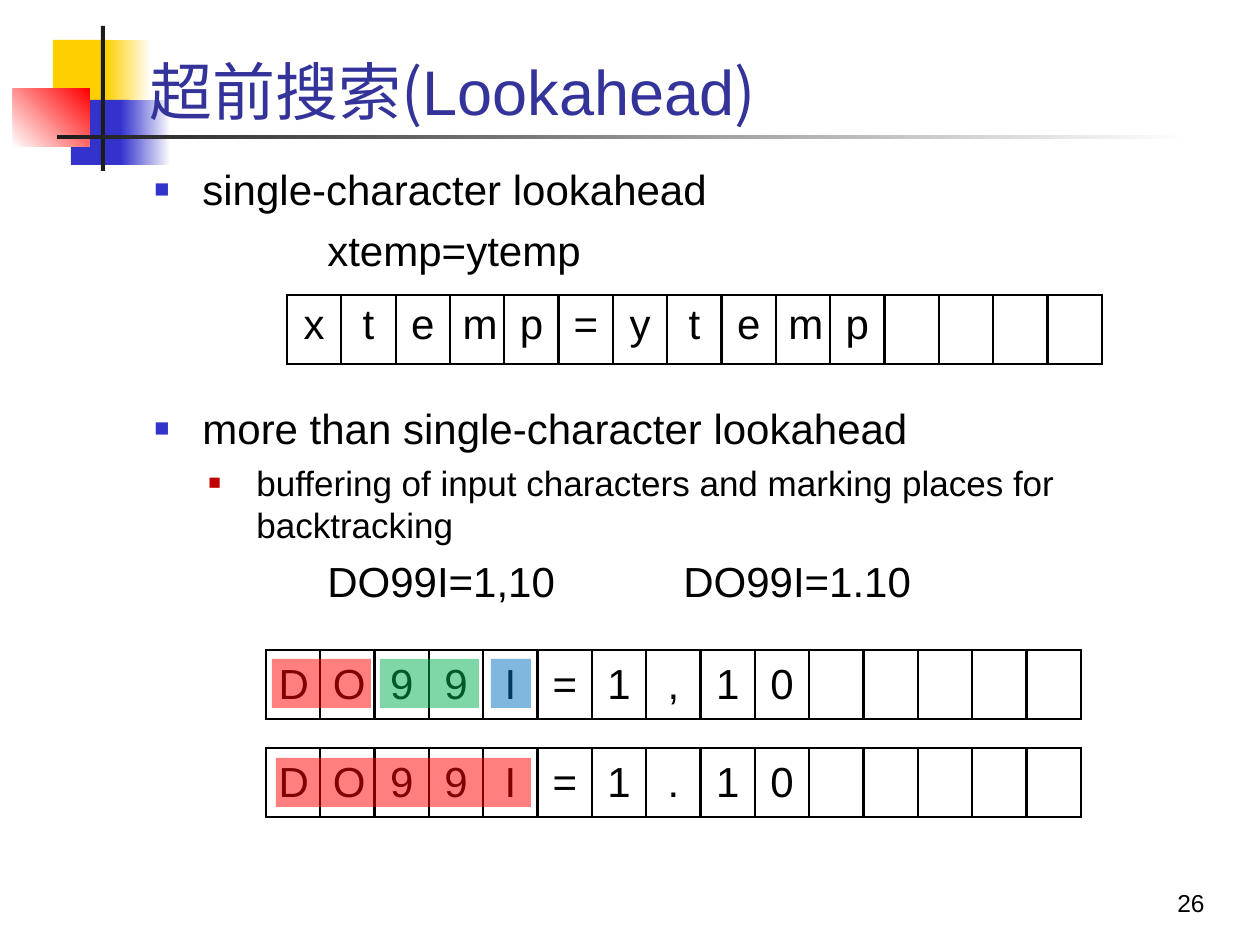
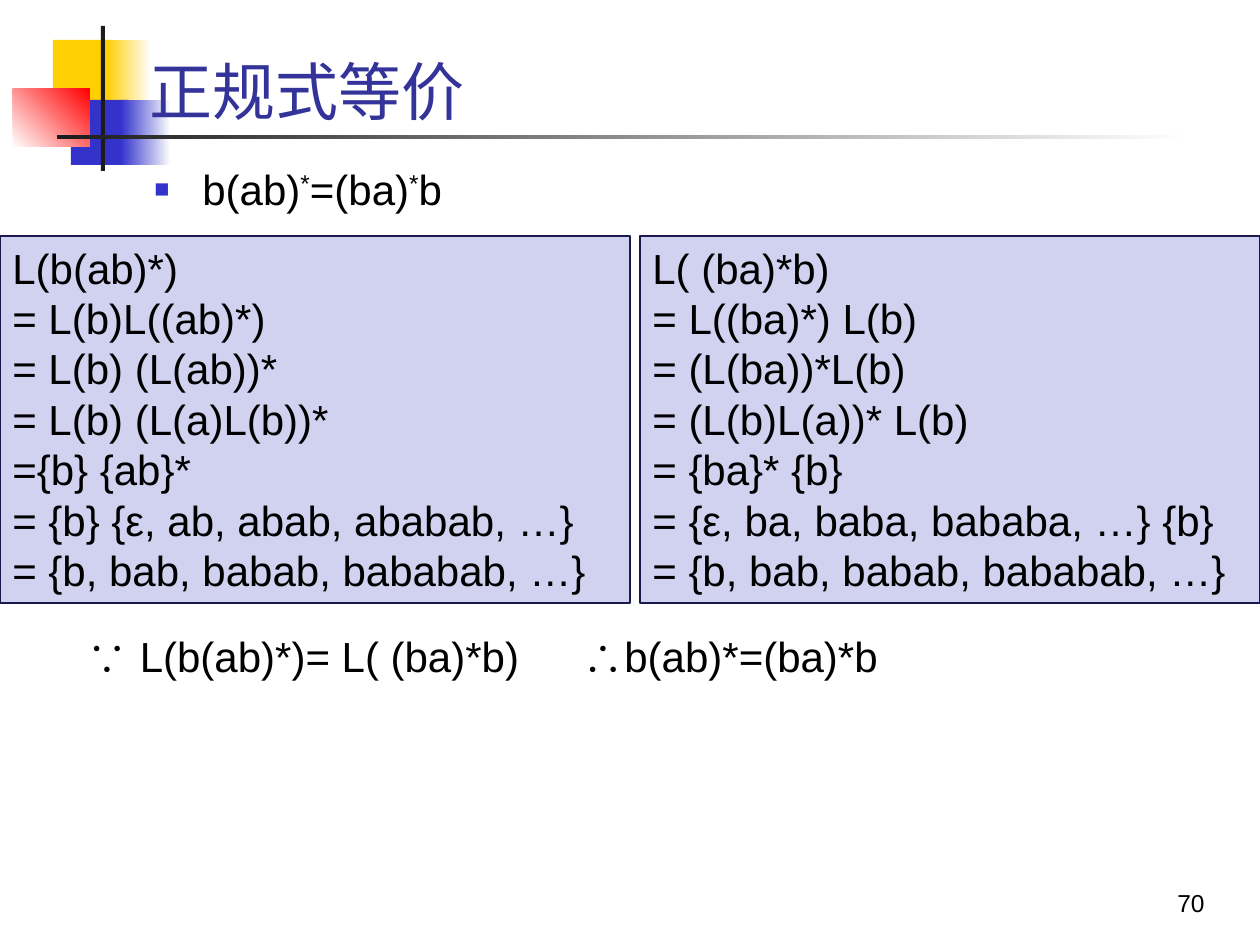
from dataclasses import dataclass
from typing import Optional

from lxml import etree
from pptx import Presentation
from pptx.dml.color import RGBColor
from pptx.enum.shapes import MSO_SHAPE
from pptx.enum.text import MSO_ANCHOR, PP_ALIGN
from pptx.oxml.ns import qn
from pptx.util import Emu, Pt

RECT = MSO_SHAPE.RECTANGLE
TOP, MIDDLE, BOTTOM = MSO_ANCHOR.TOP, MSO_ANCHOR.MIDDLE, MSO_ANCHOR.BOTTOM
LEFT, CENTER, RIGHT = PP_ALIGN.LEFT, PP_ALIGN.CENTER, PP_ALIGN.RIGHT

BLACK = RGBColor(0x00, 0x00, 0x00)
WHITE = RGBColor(0xFF, 0xFF, 0xFF)
INK = RGBColor(0x1C, 0x1C, 0x1C)
YELLOW = RGBColor(0xFF, 0xCF, 0x01)
BLUE = RGBColor(0x33, 0x33, 0xCC)
RED = RGBColor(0xFF, 0x00, 0x00)
DARK_RED = RGBColor(0xC0, 0x00, 0x00)
GREEN = RGBColor(0x00, 0xB0, 0x50)
SKY = RGBColor(0x00, 0x70, 0xC0)
TITLE_BLUE = RGBColor(0x33, 0x33, 0x99)
PANEL_FILL = RGBColor(0xD1, 0xD1, 0xF0)
PANEL_LINE = RGBColor(0x19, 0x19, 0x4D)

LATIN = "Arial"
CJK = "Noto Sans CJK SC"
EMU_PER_PX = 914400 / 126
TAPE_CELLS = 15


@dataclass
class Box:
    left: int
    top: int
    width: int
    height: int


@dataclass
class Band:
    box: Box
    start: RGBColor
    end: Optional[RGBColor] = None
    angle: int = 0


@dataclass
class Span:
    text: str
    font: str = LATIN
    raised: bool = False


@dataclass
class Para:
    spans: list[Span]
    size: int = 24
    color: RGBColor = BLACK
    align: PP_ALIGN = LEFT
    before: int = 0
    margin: int = 0
    bullet: Optional[RGBColor] = None
    tabs: tuple[int, ...] = ()


@dataclass
class Tape:
    left: int
    top: int
    text: str
    anchor: MSO_ANCHOR = MIDDLE


# What every slide shares
BANDS = [
    Band(Box(53, 40, 60, 66), YELLOW),
    Band(Box(106, 40, 45, 66), YELLOW, WHITE),
    Band(Box(71, 100, 58, 65), BLUE),
    Band(Box(121, 100, 50, 65), BLUE, WHITE),
    Band(Box(13, 89, 77, 58), WHITE, RED, 45),
    Band(Box(101, 26, 4, 145), INK),
    Band(Box(57, 135, 1134, 4), INK, WHITE),
]
TITLE = Box(137, 28, 1074, 106)
BODY = Box(142, 157, 1071, 692)
PAGE_NUMBER = Box(955, 861, 262, 63)
HANGING = 48


def px(length: float) -> Emu:
    return Emu(round(length * EMU_PER_PX))


def place(box: Box) -> tuple[Emu, ...]:
    return px(box.left), px(box.top), px(box.width), px(box.height)


def child(parent, tag: str, **attributes):
    return etree.SubElement(parent, qn(tag), attributes)


def add_rect(slide, box: Box, color: RGBColor):
    rect = slide.shapes.add_shape(RECT, *place(box))
    rect.shadow.inherit = False
    rect.line.fill.background()
    rect.fill.solid()
    rect.fill.fore_color.rgb = color
    return rect


def add_band(slide, band: Band) -> None:
    rect = add_rect(slide, band.box, band.start)
    if band.end is not None:
        rect.fill.gradient()
        rect.fill.gradient_angle = band.angle
        for stop, color in zip(rect.fill.gradient_stops, (band.start, band.end)):
            stop.color.rgb = color


def add_highlight(slide, box: Box, color: RGBColor) -> None:
    rect = add_rect(slide, box, color)
    tint = rect.fill._xPr.find(qn("a:solidFill"))[0]
    child(tint, "a:alpha", val="50000")


def write_para(paragraph, para: Para) -> None:
    props = paragraph._p.get_or_add_pPr()
    if para.bullet is not None:
        props.set("marL", str(px(para.margin)))
        props.set("indent", str(-px(HANGING)))
        child(child(props, "a:buClr"), "a:srgbClr", val=str(para.bullet))
        child(props, "a:buSzPct", val="60000")
        child(props, "a:buFont", typeface=LATIN)
        child(props, "a:buChar", char="■")
    if para.tabs:
        stops = child(props, "a:tabLst")
        for stop in para.tabs:
            child(stops, "a:tab", pos=str(px(stop)), algn="l")
    paragraph.alignment = para.align
    paragraph.space_before = Pt(para.before)
    paragraph.font.size = Pt(para.size)
    paragraph.font.color.rgb = para.color
    paragraph.font.name = LATIN
    for span in para.spans:
        run = paragraph.add_run()
        run.text = span.text
        if span.font != LATIN:
            run.font.name = span.font
        run_props = run._r.get_or_add_rPr()
        child(run_props, "a:ea", typeface=CJK)
        if span.raised:
            run_props.set("baseline", "30000")


def write_frame(frame, paras: list[Para], anchor: MSO_ANCHOR) -> None:
    frame.word_wrap = True
    frame.vertical_anchor = anchor
    for index, para in enumerate(paras):
        write_para(frame.add_paragraph() if index else frame.paragraphs[0], para)


def add_text(slide, box: Box, paras: list[Para], anchor: MSO_ANCHOR = TOP) -> None:
    write_frame(slide.shapes.add_textbox(*place(box)).text_frame, paras, anchor)


def add_panel(slide, box: Box, lines: list[str]) -> None:
    panel = add_rect(slide, box, PANEL_FILL)
    panel.line.color.rgb = PANEL_LINE
    panel.line.width = Pt(1)
    write_frame(panel.text_frame, [Para([Span(line)]) for line in lines], TOP)


def add_tape(slide, tape: Tape) -> None:
    box = Box(tape.left, tape.top, 815, 69)
    table = slide.shapes.add_table(1, TAPE_CELLS, *place(box)).table
    table.first_row = table.horz_banding = False
    for column in table.columns:
        column.width = px(box.width / TAPE_CELLS)
    for cell, char in zip(table.rows[0].cells, tape.text.ljust(TAPE_CELLS)):
        props = cell._tc.get_or_add_tcPr()
        for side in ("a:lnL", "a:lnR", "a:lnT", "a:lnB"):
            border = child(props, side, w=str(Pt(1.5)))
            child(child(border, "a:solidFill"), "a:srgbClr", val=str(BLACK))
        cell.fill.background()
        cell.vertical_anchor = tape.anchor
        if char != " ":
            write_para(cell.text_frame.paragraphs[0], Para([Span(char)], align=CENTER))


def start_slide(deck, title: list[Span], number: int):
    slide = deck.slides.add_slide(deck.slide_layouts[6])
    for band in BANDS:
        add_band(slide, band)
    add_text(slide, TITLE, [Para(title, size=36, color=TITLE_BLUE)], BOTTOM)
    page = Para([Span(str(number))], size=14, align=RIGHT)
    add_text(slide, PAGE_NUMBER, [page], BOTTOM)
    return slide


def build_lookahead(deck) -> None:
    title = [Span("超前搜索(", CJK), Span("Lookahead"), Span(")", CJK)]
    slide = start_slide(deck, title, 26)
    add_text(slide, BODY, [
        Para([Span("single-character lookahead")], margin=HANGING, bullet=BLUE),
        Para([Span("\txtemp=ytemp")], before=6, tabs=(173,)),
        Para([Span("more than single-character lookahead")],
             before=73, margin=HANGING, bullet=BLUE),
        Para([Span("buffering of input characters and marking places for backtracking")],
             size=20, before=5, margin=102, bullet=DARK_RED),
        Para([Span("\tDO99I=1,10\tDO99I=1.10")], before=6, tabs=(173, 529)),
    ])

    # Input buffers, one character a cell
    for tape in (Tape(287, 295, "xtemp=ytemp", TOP),
                 Tape(266, 650, "DO99I=1,10"),
                 Tape(266, 748, "DO99I=1.10")):
        add_tape(slide, tape)

    # Tokens recognised in the buffers
    for left, top, width, color in ((272, 659, 99, RED), (380, 659, 99, GREEN),
                                    (491, 659, 40, SKY), (276, 758, 255, RED)):
        add_highlight(slide, Box(left, top, width, 49), color)


def build_equivalence(deck) -> None:
    slide = start_slide(deck, [Span("正规式等价")], 70)
    star = Span("*", raised=True)
    identity = [Span("b(ab)"), star, Span("=(ba)"), star, Span("b")]
    add_text(slide, BODY, [Para(identity, margin=HANGING, bullet=BLUE)])

    # Derivations side by side
    add_panel(slide, Box(640, 236, 620, 367), [
        "L( (ba)*b)",
        "= L((ba)*) L(b)",
        "= (L(ba))*L(b)",
        "= (L(b)L(a))* L(b)",
        "= {ba}* {b}",
        "= {ε, ba, baba, bababa, …} {b}",
        "= {b, bab, babab, bababab, …}",
    ])
    add_panel(slide, Box(0, 236, 630, 367), [
        "L(b(ab)*)",
        "= L(b)L((ab)*)",
        "= L(b) (L(ab))*",
        "= L(b) (L(a)L(b))*",
        "={b} {ab}*",
        "= {b} {ε, ab, abab, ababab, …}",
        "= {b, bab, babab, bababab, …}",
    ])

    # Conclusion
    conclusion = Span("∵ L(b(ab)*)= L( (ba)*b)\t∴b(ab)*=(ba)*b")
    add_text(slide, Box(74, 624, 1121, 63), [Para([conclusion], tabs=(496,))])


deck = Presentation()
deck.slide_width, deck.slide_height = px(1260), px(945)
build_lookahead(deck)
build_equivalence(deck)
deck.save("out.pptx")
